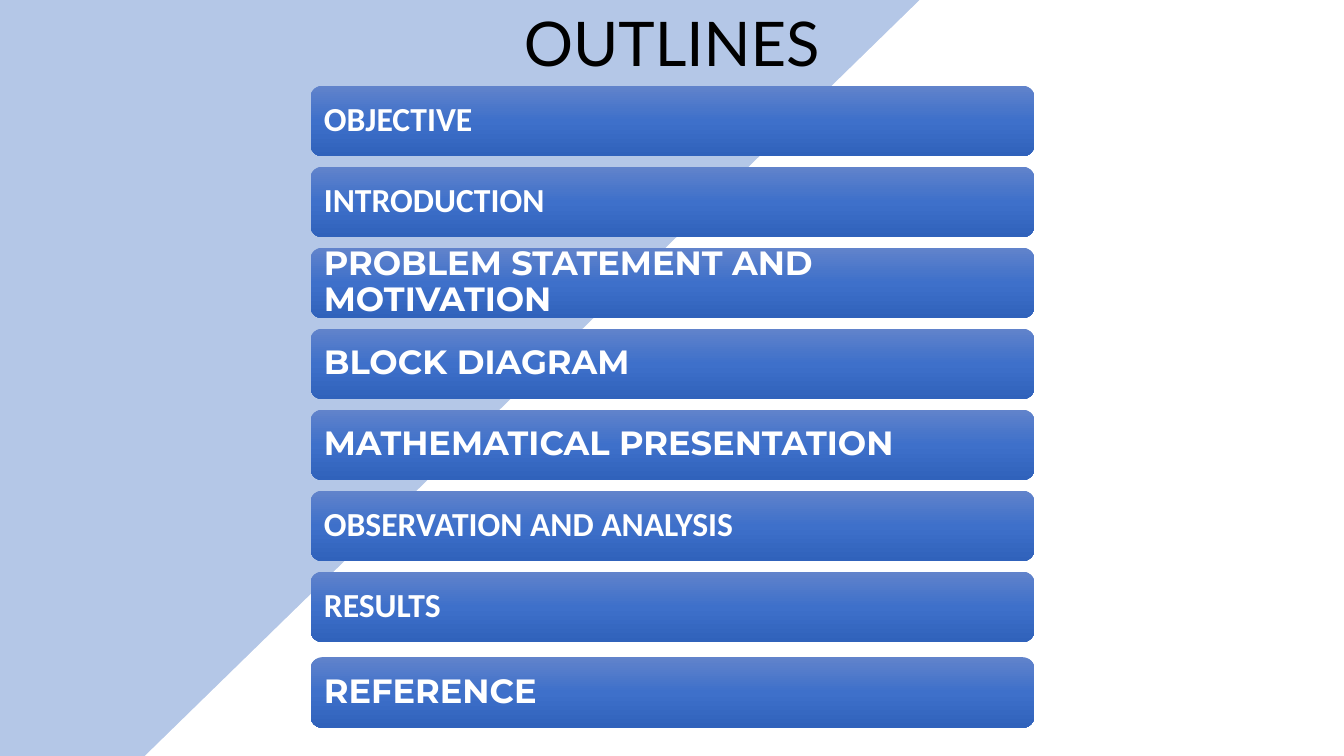
from copy import deepcopy

from pptx import Presentation
from pptx.dml.color import RGBColor
from pptx.enum.shapes import MSO_SHAPE as Shape
from pptx.enum.text import MSO_ANCHOR as Anchor, MSO_AUTO_SIZE as AutoSize, PP_ALIGN as Align
from pptx.oxml.ns import qn
from pptx.util import Inches, Pt

WIDTH, HEIGHT = 13.33, 7.5
BAR_LEFT, BAR_WIDTH, BAR_HEIGHT = 3.08, 7.18, 0.7
FIRST_TOP, SEVENTH_TOP, LAST_TOP = 0.85, 5.67, 6.52
PITCH = (SEVENTH_TOP - FIRST_TOP) / 6
GRADIENT = [(0, "6183CB"), (0.5, "3E70CA"), (1, "3062BB")]
TOPICS = [
    ("OBJECTIVE", "Calibri"),
    ("INTRODUCTION", "Calibri"),
    ("PROBLEM STATEMENT AND MOTIVATION", "Montserrat"),
    ("BLOCK DIAGRAM", "Montserrat"),
    ("MATHEMATICAL PRESENTATION", "Montserrat"),
    ("OBSERVATION AND ANALYSIS", "Calibri"),
    ("RESULTS", "Calibri"),
    ("REFERENCE", "Montserrat"),
]


def color(hex_code):
    return RGBColor.from_string(hex_code)


def write(para, text, font, size, hex_code, bold=False):
    span = para.add_run()
    span.text = text
    span.font.name = font
    span.font.size = Pt(size)
    span.font.bold = bold
    span.font.color.rgb = color(hex_code)


deck = Presentation()
deck.slide_width, deck.slide_height = Inches(WIDTH), Inches(HEIGHT)
page = deck.slides.add_slide(deck.slide_layouts[6])

# Diagonal background: a blue page with a tilted white panel
for left, top, width, height, tilt, shade in [
    (0, 0, WIDTH, HEIGHT, 0, "B4C7E7"),
    (5.03, -1.03, 8.84, 13.79, 45.7, "FFFFFF"),
]:
    panel = page.shapes.add_shape(
        Shape.RECTANGLE, Inches(left), Inches(top), Inches(width), Inches(height))
    panel.rotation = tilt
    panel.shadow.inherit = False
    panel.fill.solid()
    panel.fill.fore_color.rgb = color(shade)
    panel.line.color.rgb = color(shade)
    panel.line.width = Pt(1)

# Title
title = page.shapes.add_textbox(0, 0, Inches(WIDTH), Inches(0.84)).text_frame
title.word_wrap = True
title.auto_size = AutoSize.SHAPE_TO_FIT_TEXT
title.paragraphs[0].alignment = Align.CENTER
write(title.paragraphs[0], "OUTLINES", "Lato", 44, "000000")

# Topic bars: evenly spaced, the last one set slightly lower
tops = [FIRST_TOP + row * PITCH for row in range(len(TOPICS) - 1)] + [LAST_TOP]
for top, (topic, font) in zip(tops, TOPICS):
    bar = page.shapes.add_shape(
        Shape.ROUNDED_RECTANGLE, Inches(BAR_LEFT), Inches(top),
        Inches(BAR_WIDTH), Inches(BAR_HEIGHT))
    bar.shadow.inherit = False
    bar.line.fill.background()
    bar.fill.gradient()
    bar.fill.gradient_angle = 270
    stop_list = bar.element.spPr.find(qn("a:gradFill")).find(qn("a:gsLst"))
    stop_list.insert(1, deepcopy(stop_list[0]))
    for stop, (position, shade) in zip(bar.fill.gradient_stops, GRADIENT):
        stop.position = position
        stop.color.rgb = color(shade)

    box = bar.text_frame
    box.word_wrap = True
    box.vertical_anchor = Anchor.MIDDLE
    box.margin_left = box.margin_right = box.margin_top = box.margin_bottom = Inches(0.1)
    para = box.paragraphs[0]
    para.alignment = Align.LEFT
    para.line_spacing = 0.9
    write(para, topic, font, 24, "FFFFFF", bold=True)

deck.save("out.pptx")
